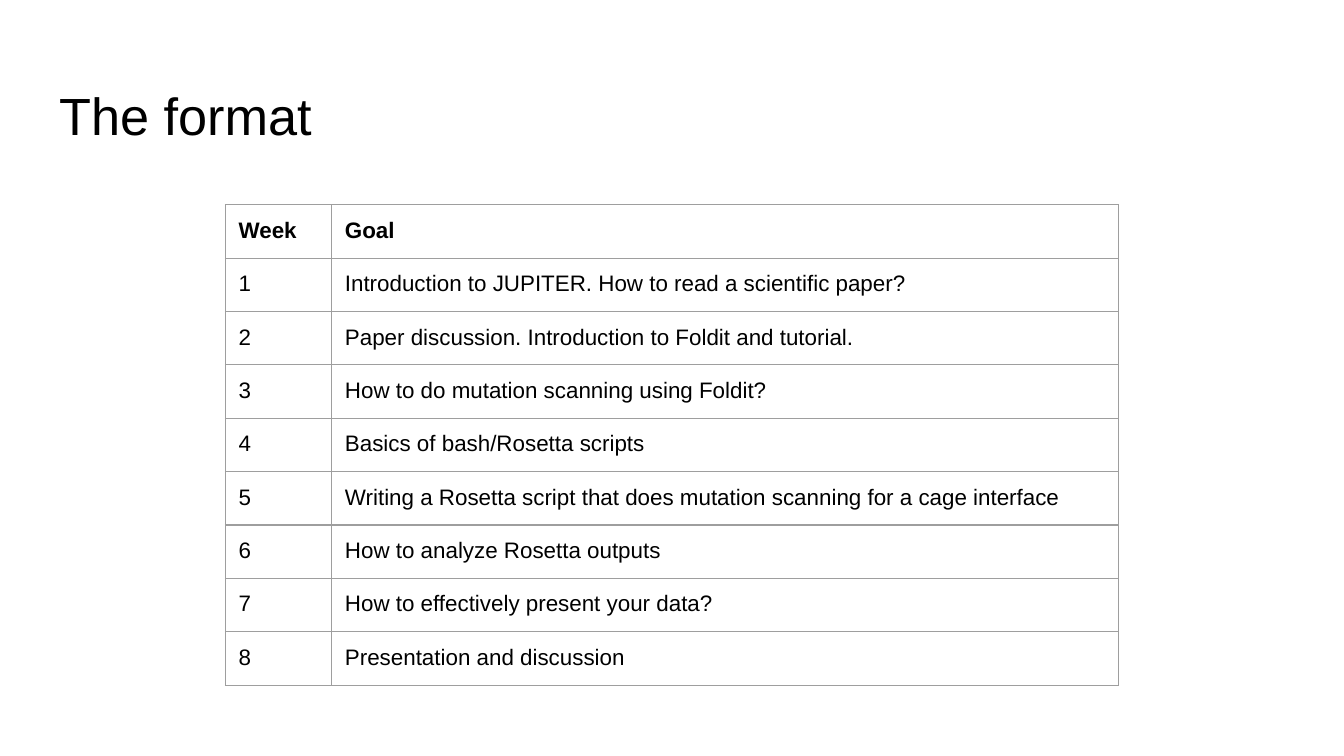
import pptx
import pptx.dml.color
import pptx.oxml
import pptx.oxml.ns
import pptx.util
from pptx.util import Cm

BLACK = pptx.dml.color.RGBColor(0x00, 0x00, 0x00)
WHITE = pptx.dml.color.RGBColor(0xFF, 0xFF, 0xFF)
GRAY = pptx.dml.color.RGBColor(0x9E, 0x9E, 0x9E)
FONT_NAME = "Arial"
INSET = Cm(0.25)
BORDER_WIDTH = pptx.util.Pt(0.75)

GOALS = [
    "Introduction to JUPITER. How to read a scientific paper?",
    "Paper discussion. Introduction to Foldit and tutorial.",
    "How to do mutation scanning using Foldit?",
    "Basics of bash/Rosetta scripts",
    "Writing a Rosetta script that does mutation scanning for a cage interface",
    "How to analyze Rosetta outputs",
    "How to effectively present your data?",
    "Presentation and discussion",
]


def format_text(text_frame, size, bold=False):
    for run in text_frame.paragraphs[0].runs:
        run.font.name = FONT_NAME
        run.font.size = pptx.util.Pt(size)
        run.font.bold = bold
        run.font.color.rgb = BLACK


def add_borders(cell):
    properties = cell._tc.get_or_add_tcPr()
    for position, side in enumerate(("lnL", "lnR", "lnT", "lnB")):
        border = pptx.oxml.parse_xml(
            f'<a:{side} {pptx.oxml.ns.nsdecls("a")} w="{BORDER_WIDTH}">'
            f'<a:solidFill><a:srgbClr val="{GRAY}"/></a:solidFill></a:{side}>'
        )
        properties.insert(position, border)


def add_title(slide, left, top, width, height):
    shape = slide.shapes.add_textbox(left, top, width, height)
    text_frame = shape.text_frame
    text_frame.word_wrap = True
    text_frame.margin_left = text_frame.margin_right = INSET
    text_frame.margin_top = Cm(0.34)
    text_frame.margin_bottom = INSET
    text_frame.text = "The format"
    format_text(text_frame, 28)


def add_schedule(slide, left, top, width, height):
    rows = [("Week", "Goal")]
    rows += [(str(week), goal) for week, goal in enumerate(GOALS, 1)]
    table = slide.shapes.add_table(len(rows), 2, left, top, width, height).table
    table.first_row = False
    table.horz_banding = False
    week_width = Cm(2.01)
    table.columns[0].width = week_width
    table.columns[1].width = width - week_width
    for row_index, row in enumerate(rows):
        for column_index, text in enumerate(row):
            cell = table.cell(row_index, column_index)
            cell.margin_left = cell.margin_right = INSET
            cell.margin_top = cell.margin_bottom = INSET
            cell.fill.background()
            cell.text_frame.text = text
            format_text(cell.text_frame, 12, bold=row_index == 0)
            add_borders(cell)


def main():
    presentation = pptx.Presentation()
    presentation.slide_width = Cm(25.4)
    presentation.slide_height = Cm(14.29)
    slide = presentation.slides.add_slide(presentation.slide_layouts[6])
    slide.background.fill.solid()
    slide.background.fill.fore_color.rgb = WHITE
    add_title(slide, Cm(0.87), Cm(1.24), Cm(23.67), Cm(1.59))
    add_schedule(slide, Cm(4.26), Cm(3.87), Cm(16.88), Cm(8.96))
    presentation.save("out.pptx")


if __name__ == "__main__":
    main()
